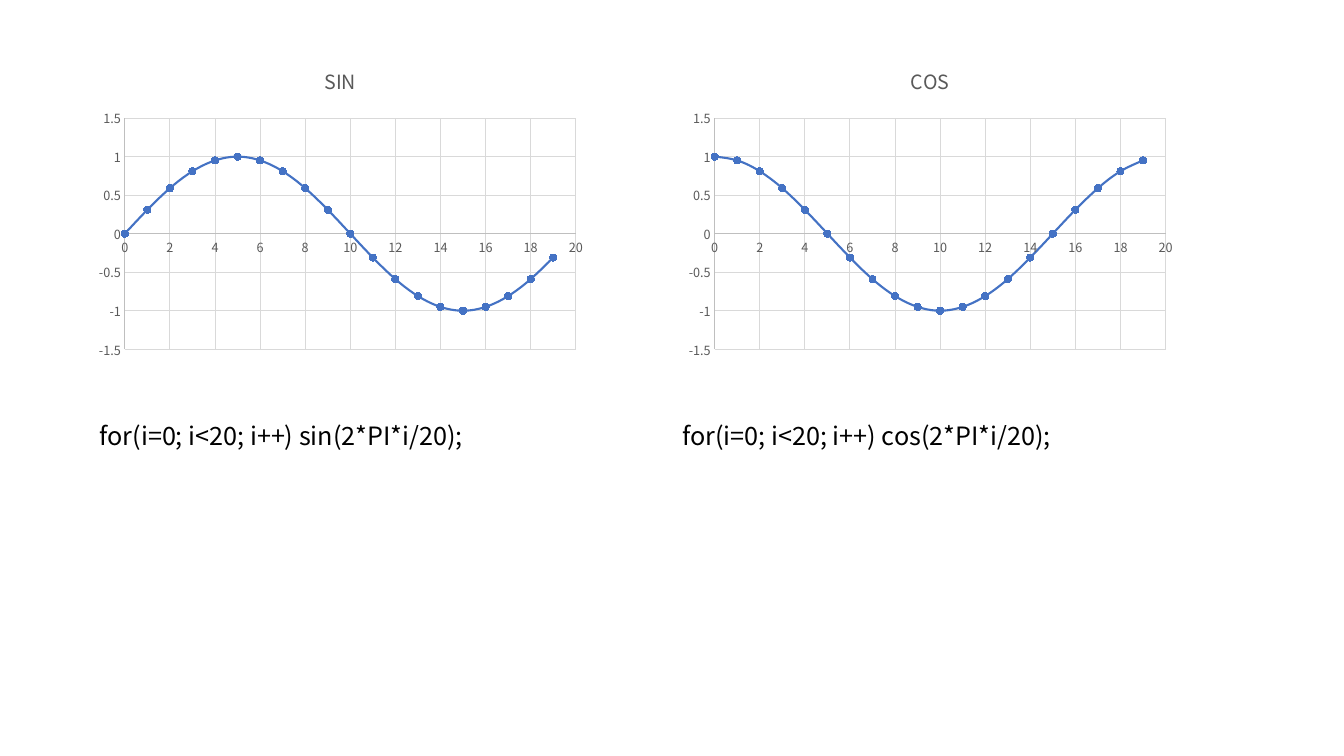
import math

from pptx import Presentation
from pptx.chart.data import XyChartData
from pptx.dml.color import RGBColor
from pptx.enum.chart import XL_CHART_TYPE, XL_MARKER_STYLE, XL_TICK_MARK
from pptx.enum.text import MSO_AUTO_SIZE
from pptx.oxml import parse_xml
from pptx.oxml.ns import nsdecls
from pptx.util import Inches, Pt

SMOOTH = XL_CHART_TYPE.XY_SCATTER_SMOOTH
CIRCLE = XL_MARKER_STYLE.CIRCLE
NO_TICK = XL_TICK_MARK.NONE
GROW = MSO_AUTO_SIZE.SHAPE_TO_FIT_TEXT

FONT = "Noto Sans CJK KR"
COLORS = {"text": "000000", "label": "595959", "axis": "BFBFBF",
          "grid": "D9D9D9", "curve": "4472C4"}
STEPS = 20
PLOT_SHARE = {"x": 0.07, "y": 0.22, "w": 0.9, "h": 0.74}


def rgb(name):
    return RGBColor.from_string(COLORS[name])


def add_text(tf, text, size=18, color="text"):
    r = tf.paragraphs[0].add_run()
    r.text = text
    r.font.name = FONT
    r.font.size = Pt(size)
    r.font.bold = False
    r.font.color.rgb = rgb(color)


prs = Presentation()
prs.slide_width, prs.slide_height = Inches(13.33), Inches(7.5)
s = prs.slides.add_slide(prs.slide_layouts[6])

waves = [("sin", math.sin, 0.89, 0.89), ("cos", math.cos, 6.74, 6.67)]

for name, wave, chart_left, code_left in waves:
    data = XyChartData()
    points = data.add_series("Series 1")
    for i in range(STEPS):
        points.add_data_point(i, round(wave(2 * math.pi * i / STEPS), 2))

    chart = s.shapes.add_chart(SMOOTH, Inches(chart_left), Inches(0.49),
                               Inches(4.97), Inches(3.1), data).chart
    chart.has_legend = False
    chart.font.name = FONT
    chart.font.size = Pt(10)
    chart.has_title = True
    chart.chart_title.include_in_layout = False
    add_text(chart.chart_title.text_frame, name.upper(), size=14, color="label")

    axes = [(chart.category_axis, 0, 20, 2), (chart.value_axis, -1.5, 1.5, 0.5)]
    for axis, low, high, unit in axes:
        axis.minimum_scale, axis.maximum_scale, axis.major_unit = low, high, unit
        axis.major_tick_mark = axis.minor_tick_mark = NO_TICK
        axis.has_major_gridlines = True
        font = axis.tick_labels.font
        font.name, font.size, font.color.rgb = FONT, Pt(9), rgb("label")
        for line, color in ((axis.format.line, "axis"),
                            (axis.major_gridlines.format.line, "grid")):
            line.color.rgb = rgb(color)
            line.width = Pt(0.75)

    plot = chart.plots[0]
    plot.vary_by_categories = False
    curve = plot.series[0]
    curve.format.line.color.rgb = rgb("curve")
    curve.format.line.width = Pt(1.5)
    curve.marker.style, curve.marker.size = CIRCLE, 5
    curve.marker.format.fill.solid()
    curve.marker.format.fill.fore_color.rgb = rgb("curve")
    curve.marker.format.line.color.rgb = rgb("curve")
    for smooth in chart.element.xpath(".//c:ser/c:smooth"):
        smooth.set("val", "1")

    area = chart.element.xpath(".//c:plotArea")[0]
    for layout in area.xpath("./c:layout"):
        area.remove(layout)
    shares = "".join(f'<c:{k} val="{v}"/>' for k, v in PLOT_SHARE.items())
    area.insert(0, parse_xml(
        f'<c:layout {nsdecls("c")}><c:manualLayout><c:layoutTarget val="inner"/>'
        f'<c:xMode val="edge"/><c:yMode val="edge"/>{shares}'
        '</c:manualLayout></c:layout>'))

    tf = s.shapes.add_textbox(Inches(code_left), Inches(4.12),
                              Inches(3.89), Inches(0.4)).text_frame
    tf.word_wrap = True
    tf.auto_size = GROW
    add_text(tf, f"for(i=0; i<{STEPS}; i++) {name}(2*PI*i/{STEPS});")

prs.save("out.pptx")
